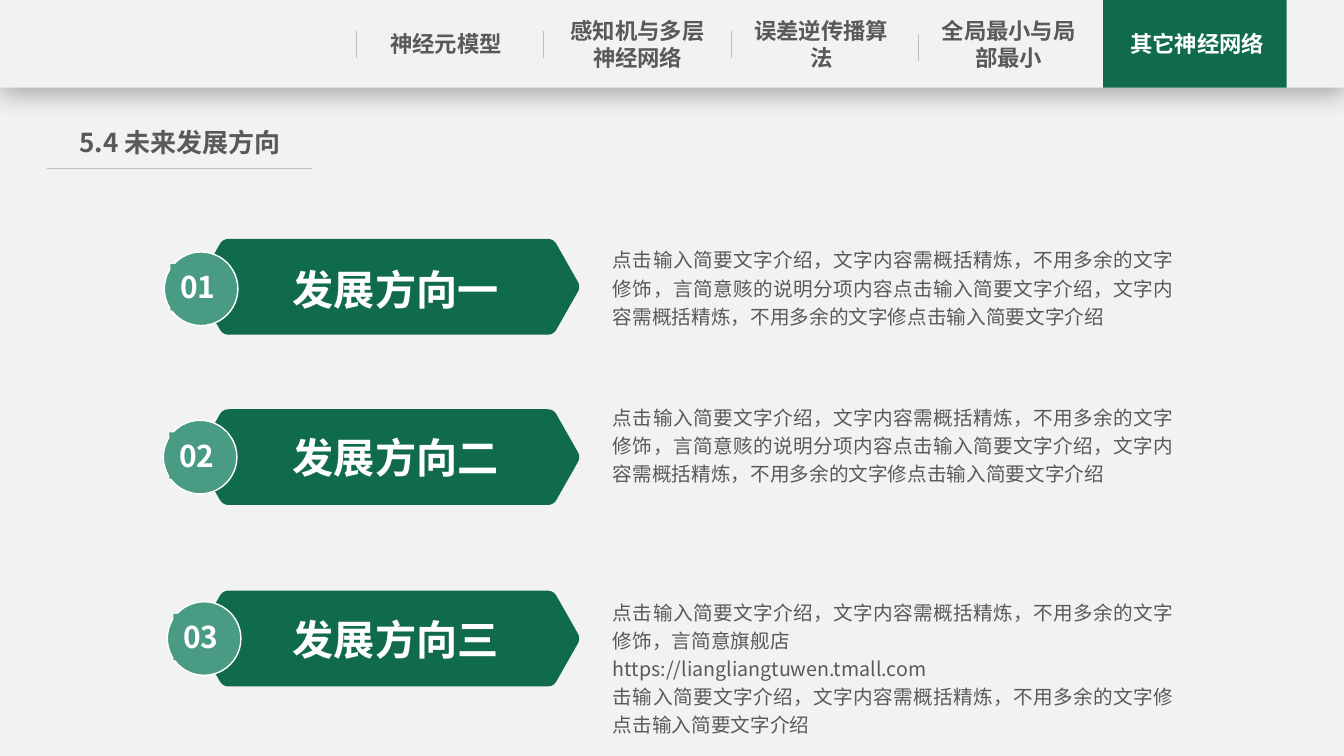
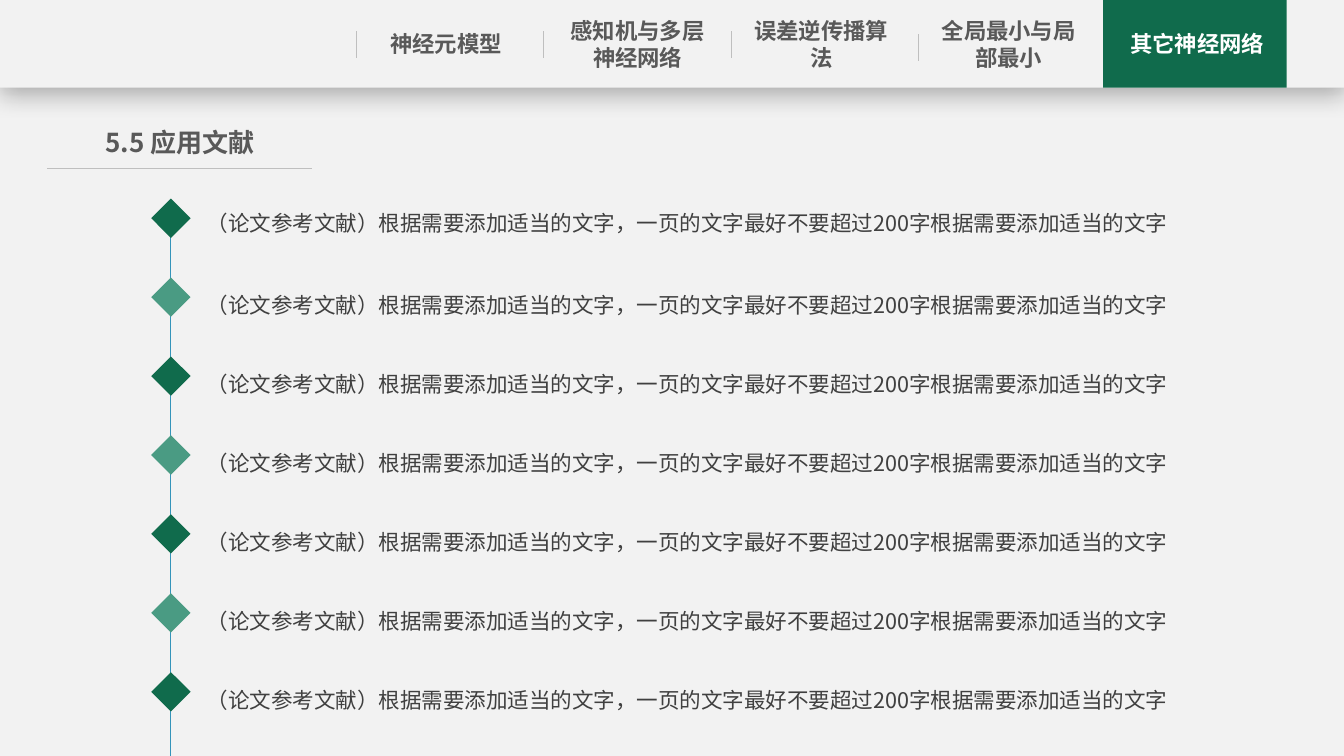
from math import hypot
from lxml import etree
from pptx import Presentation
from pptx import util as u
from pptx.dml.color import RGBColor
from pptx.enum import shapes, text
from pptx.oxml.ns import qn

# Shared look
WIDE, HIGH = 13.33, 7.5
BAND = 0.87
FONT = "Noto Sans CJK SC"
PALE, DARK, MINT, WHITE = "F2F2F2", "106B4C", "4A9B83", "FFFFFF"
GREY, INK, RULE, BLUE = "595959", "404040", "BFBFBF", "3494BA"
KIND, ALIGN, ANCHOR = shapes.MSO_SHAPE, text.PP_ALIGN, text.MSO_ANCHOR

# Content: tabs as (name, left), then what each slide says
TABS = [("神经元模型", 3.69), ("感知机与多层神经网络", 5.59),
        ("误差逆传播算法", 7.41), ("全局最小与局部最小", 9.27),
        ("其它神经网络", 11.14)]
RULE_TOPS = [0.31, 0.31, 0.31, 0.34]

INTRO = "点击输入简要文字介绍，文字内容需概括精炼，不用多余的文字修饰，言简意"
FULL = INTRO + ("赅的说明分项内容点击输入简要文字介绍，文字内容需概括精炼，"
                "不用多余的文字修点击输入简要文字介绍")
LAST = [INTRO + "旗舰店", "https://liangliangtuwen.tmall.com",
        "击输入简要文字介绍，文字内容需概括精炼，不用多余的文字修点击输入简要文字介绍"]
# (title, body, arrow top, disc left, disc top, body top)
PATHS = [("发展方向一", [FULL], 2.37, 1.63, 2.5, 2.42),
         ("发展方向二", [FULL], 4.06, 1.62, 4.17, 3.98),
         ("发展方向三", LAST, 5.86, 1.66, 5.97, 5.92)]

PAPERS = ["（论文参考文献）根据需要添加适当的文字，"
          "一页的文字最好不要超过200字根据需要添加适当的文字"] * 7


def tint(code):
    return RGBColor.from_string(code)


def paint(shape, fill, edge=None):
    shape.shadow.inherit = False
    shape.fill.solid()
    shape.fill.fore_color.rgb = tint(fill)
    if edge:
        shape.line.color.rgb = tint(edge)
        shape.line.width = u.Pt(1)
    else:
        shape.line.fill.background()
    return shape


def block(slide, kind, x, y, w, h, fill, edge=None):
    box = [u.Inches(v) for v in (x, y, w, h)]
    return paint(slide.shapes.add_shape(kind, *box), fill, edge)


def rule(slide, x1, y1, x2, y2, color=RULE):
    ends = [u.Inches(v) for v in (x1, y1, x2, y2)]
    line = slide.shapes.add_connector(shapes.MSO_CONNECTOR.STRAIGHT, *ends)
    line.line.color.rgb = tint(color)
    line.line.width = u.Pt(0.5)
    etree.SubElement(line._element.spPr, qn("a:effectLst"))


def write(shape, lines, size, color, bold=False, align=ALIGN.LEFT, space=None,
          pads=(0, 0, 0, 0), anchor=ANCHOR.TOP, wrap=True):
    frame = shape.text_frame
    frame.word_wrap, frame.vertical_anchor = wrap, anchor
    (frame.margin_left, frame.margin_top,
     frame.margin_right, frame.margin_bottom) = [u.Inches(p) for p in pads]
    frame.text = "\n".join(lines)
    for para in frame.paragraphs:
        para.alignment = align
        if space:
            para.line_spacing = space
        for run in para.runs:
            font = run.font
            font.size, font.bold, font.name = u.Pt(size), bold, FONT
            font.color.rgb = tint(color)
            east = etree.SubElement(run._r.get_or_add_rPr(), qn("a:ea"))
            east.set("typeface", FONT)


def label(slide, x, y, w, h, lines, size, color, **style):
    box = slide.shapes.add_textbox(*[u.Inches(v) for v in (x, y, w, h)])
    write(box, lines, size, color, **style)


def shade(shape):
    """Soft shadow below the top band."""
    effects = shape._element.spPr.find(qn("a:effectLst"))
    drop = etree.SubElement(effects, qn("a:outerShdw"), blurRad=str(u.Pt(18)),
                            dist=str(u.Pt(4)), dir="5400000", algn="t",
                            rotWithShape="0")
    black = etree.SubElement(drop, qn("a:srgbClr"), val="000000")
    etree.SubElement(black, qn("a:alpha"), val="29000")


def start(deck, title):
    """New slide with the top band, tabs and heading."""
    slide = deck.slides.add_slide(deck.slide_layouts[6])
    shade(block(slide, KIND.RECTANGLE, 0, 0, WIDE, BAND, PALE))
    block(slide, KIND.RECTANGLE, 10.94, 0, 1.82, BAND, DARK)
    for i, top in enumerate(RULE_TOPS):
        x = 3.53 + 1.86 * i
        rule(slide, x, top, x, top + 0.27)
    for name, x in TABS:
        color = WHITE if name == TABS[-1][0] else GREY
        label(slide, x, 0, 1.47, BAND, [name], 16, color, bold=True,
              align=ALIGN.CENTER, anchor=ANCHOR.MIDDLE)
    rule(slide, 0.47, 1.67, 3.09, 1.67)
    label(slide, 0.75, 1.21, 2.07, 0.42, [title], 18.6, GREY, bold=True,
          align=ALIGN.CENTER, pads=(0, 0.05, 0, 0.05))
    return slide


def soften(corners, cut=0.06, steps=6):
    """Round each corner of a polygon with a quadratic curve."""
    points = []
    for i, (x, y) in enumerate(corners):
        ends = []
        for px, py in (corners[i - 1], corners[(i + 1) % len(corners)]):
            far = hypot(px - x, py - y)
            ends.append((x + (px - x) * cut / far, y + (py - y) * cut / far))
        (ax, ay), (bx, by) = ends
        for k in range(steps + 1):
            t = k / steps
            p, q, r = (1 - t) ** 2, 2 * t * (1 - t), t * t
            points.append((p * ax + q * x + r * bx, p * ay + q * y + r * by))
    return points


def arrow(slide, top):
    mid, half, tip, tall = 3.85, 1.64, 1.91, 0.95
    low, axis = top + tall, top + tall / 2
    outline = soften([(mid - half, top), (mid + half, top), (mid + tip, axis),
                      (mid + half, low), (mid - half, low), (mid - tip, axis)])
    # Freeform points are whole numbers, so they are given in EMU
    points = [(u.Inches(x), u.Inches(y)) for x, y in outline]
    path = slide.shapes.build_freeform(*points[0], scale=1.0)
    path.add_line_segments(points[1:], close=True)
    paint(path.convert_to_shape(), DARK)


def paths(deck):
    slide = start(deck, "5.4 未来发展方向")
    for i, (title, body, top, x, y, start_y) in enumerate(PATHS, 1):
        arrow(slide, top)
        block(slide, KIND.OVAL, x, y, 0.73, 0.73, MINT, WHITE)
        tag = block(slide, KIND.RECTANGLE, x + 0.06, y + 0.12, 0.57, 0.46, MINT)
        write(tag, [f"{i:02}"], 21.4, WHITE, bold=True, wrap=False,
              pads=(0.1, 0.05, 0.1, 0.05))
        label(slide, 2.67, y + 0.12, 2.51, 0.49, [title], 29.4, WHITE,
              bold=True, align=ALIGN.CENTER)
        label(slide, 6.08, start_y, 5.56, 0.28 * (len(body) + 2), body, 14,
              GREY, align=ALIGN.JUSTIFY, space=u.Pt(20))


def papers(deck):
    slide = start(deck, "5.5 应用文献")
    size, pitch, top, left, axis = 0.39, 0.783, 1.97, 1.5, 1.69
    rule(slide, axis, top + 0.05, axis, HIGH, BLUE)
    for i, paper in enumerate(PAPERS):
        y = top + pitch * i
        block(slide, KIND.DIAMOND, left, y, size, size, (DARK, MINT)[i % 2])
        lift = 0.11 if i else 0.15
        label(slide, 2.05, y - lift, 9.93, 0.62, [paper], 15.4, INK,
              space=1.5, pads=(0, 0.13, 0.17, 0.09))


def main():
    deck = Presentation()
    deck.slide_width, deck.slide_height = u.Inches(WIDE), u.Inches(HIGH)
    back = deck.slide_master.background.fill
    back.solid()
    back.fore_color.rgb = tint(PALE)
    paths(deck)
    papers(deck)
    deck.save("out.pptx")


if __name__ == "__main__":
    main()
